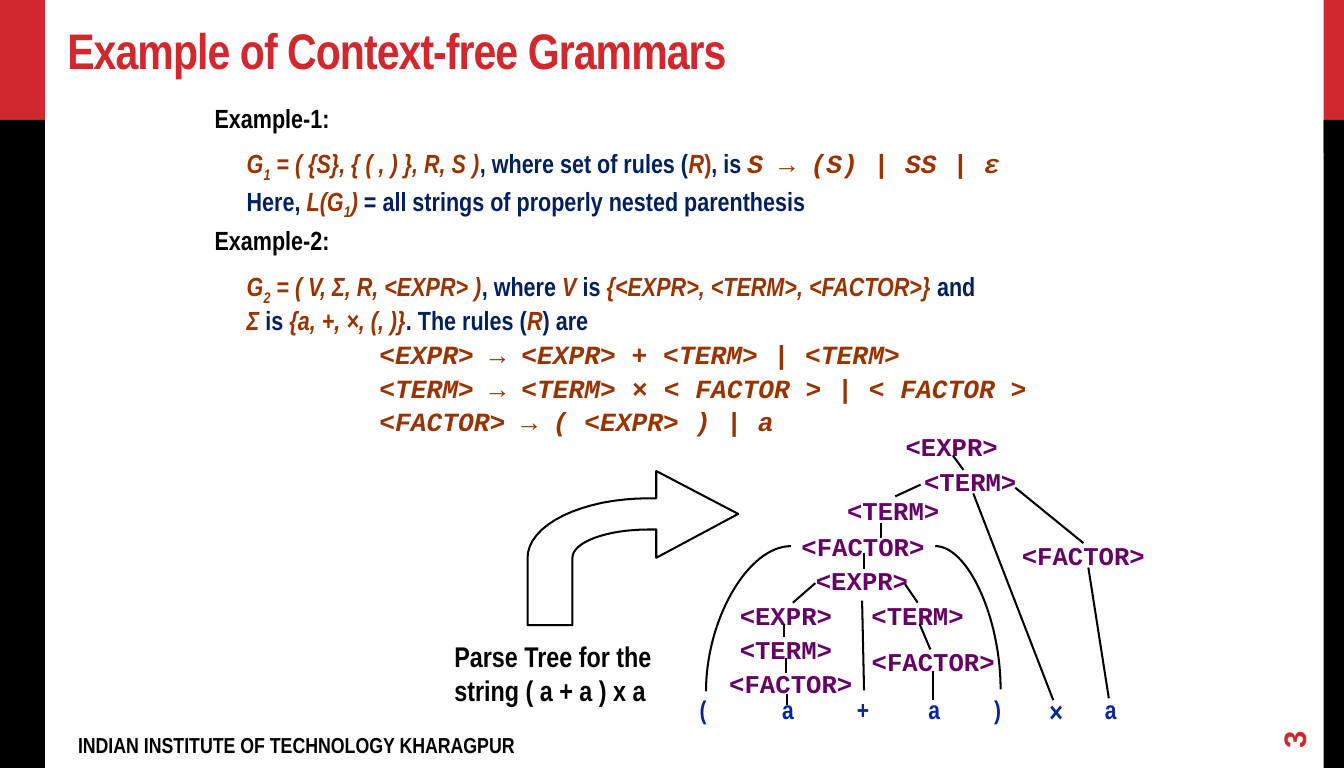
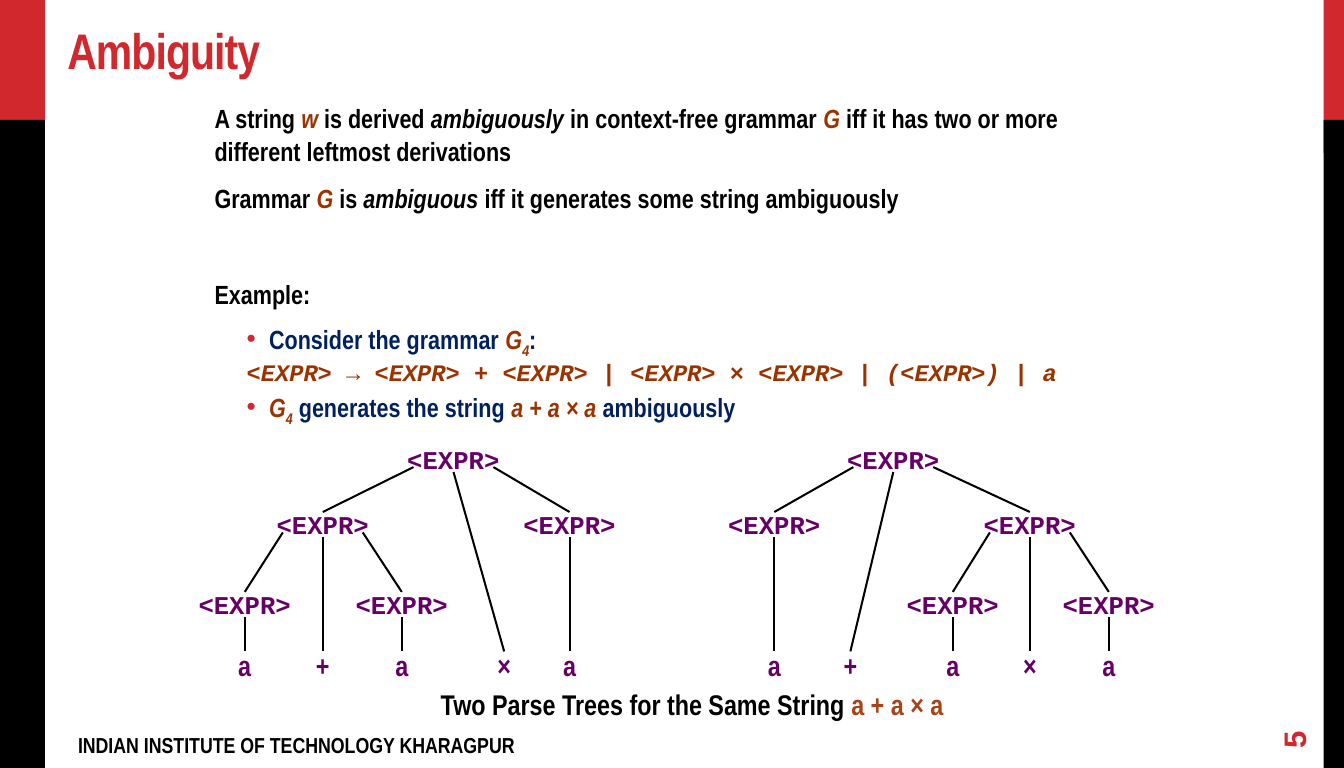
import math

from lxml import etree
from pptx import Presentation
from pptx.dml.color import RGBColor
from pptx.enum.shapes import MSO_CONNECTOR, MSO_SHAPE
from pptx.enum.text import MSO_ANCHOR, PP_ALIGN
from pptx.oxml.ns import qn
from pptx.util import Inches, Pt

RECTANGLE = MSO_SHAPE.RECTANGLE
STRAIGHT, CURVE = MSO_CONNECTOR.STRAIGHT, MSO_CONNECTOR.CURVE
LEFT, CENTER = PP_ALIGN.LEFT, PP_ALIGN.CENTER
TOP, MIDDLE, BOTTOM = MSO_ANCHOR.TOP, MSO_ANCHOR.MIDDLE, MSO_ANCHOR.BOTTOM

HEIGHT = 567 / 72
WIDTH = HEIGHT * 7 / 4
RED, BLACK, NAVY, BROWN, PURPLE = "D1282E", "000000", "002060", "993300", "660066"
NARROW, MONO = "Arial Narrow", "Courier New"

# Run styles: font, size, colour, italic, further run attributes
STYLES = {
    "title": (NARROW, 36.9, RED, False, {"spc": "-70"}),
    "footer": (NARROW, 16, BLACK, False, {}),
    "number": ("Arial", 23, RED, False, {}),
    "caption": (NARROW, 21, BLACK, False, {}),
    "caption string": (NARROW, 21, "A6431A", False, {}),
    "text": (NARROW, 19.4, BLACK, False, {}),
    "term": (NARROW, 19.4, BLACK, True, {}),
    "navy": (NARROW, 19.4, NAVY, False, {}),
    "math": (NARROW, 19.4, BROWN, True, {}),
    "upright": (NARROW, 19.4, BROWN, False, {}),
    "sub": (NARROW, 19.4, BROWN, True, {"baseline": "-25000"}),
    "rule": (MONO, 19.4, BROWN, True, {}),
    "rule upright": (MONO, 19.4, BROWN, False, {}),
    "small rule": (MONO, 17.5, BROWN, True, {}),
    "node": (MONO, 18.9, PURPLE, False, {}),
    "leaf": (NARROW, 21, PURPLE, False, {}),
    "token": (NARROW, 18.9, "00279F", False, {}),
    "big token": (NARROW, 21, "00279F", False, {}),
}

# Paragraph kinds: left margin, first-line indent, line spacing, points after
KINDS = {
    "head": (0, 0, 1.05, 6.8),
    "head with gap": (0, 0, 1.05, 42),
    "item": (0.33, 0, 0.9, 0),
    "bullet": (0.56, -0.23, 0.9, 0),
    "production": (1.69, 0, 0.9, 0),
}


def write(shape, lines, align=LEFT, anchor=TOP):
    """Fill a shape with lines, each a list of (style, text) runs."""
    frame = shape.text_frame
    frame.word_wrap = True
    frame.vertical_anchor = anchor
    frame.margin_left = frame.margin_right = Inches(0.11)
    frame.margin_top = frame.margin_bottom = Inches(0.06)
    for index, runs in enumerate(lines):
        para = frame.add_paragraph() if index else frame.paragraphs[0]
        para.alignment = align
        for style, text in runs:
            font, size, colour, italic, extra = STYLES[style]
            span = para.add_run()
            span.text = text
            span.font.name, span.font.size = font, Pt(size)
            span.font.bold, span.font.italic = True, italic
            span.font.color.rgb = RGBColor.from_string(colour)
            for name, value in extra.items():
                span.font._element.set(name, value)
    return frame


def add_box(slide, left, top, width, height):
    return slide.shapes.add_textbox(Inches(left), Inches(top), Inches(width), Inches(height))


deck = Presentation()
deck.slide_width, deck.slide_height = Inches(WIDTH), Inches(HEIGHT)
layout = deck.slide_layouts[5]
for holder in list(layout.placeholders):
    if holder.placeholder_format.idx:
        holder.element.getparent().remove(holder.element)
layout_title = layout.placeholders[0]
layout_title.left, layout_title.top = Inches(0.58), Inches(0.18)
layout_title.width, layout_title.height = Inches(12.86), Inches(0.7)
grammar_slide, ambiguity_slide = [deck.slides.add_slide(layout) for _ in range(2)]

# Side bands and footer, moved to the layout
shared = []
for left, width in ((0, 0.46), (WIDTH - 0.21, 0.21)):
    for top, bottom, colour in ((0, 1.57, RED), (1.23, HEIGHT, BLACK)):
        band = grammar_slide.shapes.add_shape(
            RECTANGLE, Inches(left), Inches(top), Inches(width), Inches(bottom - top))
        band.shadow.inherit = False
        band.fill.solid()
        band.fill.fore_color.rgb = RGBColor.from_string(colour)
        band.line.fill.background()
        shared.append(band)
footer = add_box(grammar_slide, 0.69, 7.44, 8.38, 0.34)
write(footer, [[("footer", "INDIAN INSTITUTE OF TECHNOLOGY KHARAGPUR")]])
for shape in shared + [footer]:
    layout.shapes.element.append(shape.element)

# Titles, numbers and body text
grammar_body = [
    ("head", [("text", "Example-1:")]),
    ("item", [("math", "G"), ("sub", "1"), ("math", " = ( {S}, { ( , ) }, R, S )"),
              ("navy", ", where set of rules ("), ("math", "R"), ("upright", ")"),
              ("navy", ", is "), ("rule", "S → (S) | SS | ε")]),
    ("item", [("navy", "Here, "), ("math", "L(G"), ("sub", "1"), ("math", ")"),
              ("navy", " = all strings of properly nested parenthesis")]),
    ("head", [("text", "Example-2:")]),
    ("item", [("math", "G"), ("sub", "2"), ("math", " = ( V, Σ, R, <EXPR> )"),
              ("navy", ", where "), ("math", "V"), ("navy", " is "),
              ("math", "{<EXPR>, <TERM>, <FACTOR>}"), ("navy", " and")]),
    ("item", [("math", "Σ"), ("navy", " is "), ("math", "{a, +, ×, (, )}"),
              ("navy", ". The rules ("), ("math", "R"), ("navy", ") are")]),
    ("production", [("rule", "<EXPR> → <EXPR> + <TERM> | <TERM>")]),
    ("production", [("rule", "<TERM> → <TERM> "), ("rule upright", "×"),
                    ("rule", " < FACTOR > | < FACTOR >")]),
    ("production", [("rule", "<FACTOR> → ( <EXPR> ) | a")]),
]
ambiguity_body = [
    ("head", [("text", "A string "), ("math", "w"), ("text", " is derived "),
              ("term", "ambiguously"), ("text", " in context-free grammar "), ("math", "G "),
              ("text", "iff it has two or more different leftmost derivations")]),
    ("head with gap", [("text", "Grammar "), ("math", "G"), ("text", " is "),
                       ("term", "ambiguous "),
                       ("text", "iff it generates some string ambiguously")]),
    ("head", [("text", "Example:")]),
    ("bullet", [("navy", "Consider the grammar "), ("math", "G"), ("sub", "4"), ("navy", ":")]),
    ("item", [("small rule", "<EXPR> → <EXPR> + <EXPR> | <EXPR> × <EXPR> | (<EXPR>) | a")]),
    ("bullet", [("math", "G"), ("sub", "4"), ("navy", " generates the string "),
                ("math", "a + a × a"), ("navy", " ambiguously")]),
]
for slide, title, number, body in (
        (grammar_slide, "Example of Context-free Grammars", "3", grammar_body),
        (ambiguity_slide, "Ambiguity", "5", ambiguity_body)):
    write(slide.shapes.title, [[("title", title)]], anchor=BOTTOM)
    number_box = add_box(slide, 12.86, 7.21, 0.81, 0.34)
    number_box.rotation = 270
    write(number_box, [[("number", number)]], anchor=MIDDLE)
    frame = write(add_box(slide, 2.09, 0.97, 9.7, 3.6), [runs for _, runs in body])
    for para, (kind, _) in zip(frame.paragraphs, body):
        margin, indent, spacing, after = KINDS[kind]
        properties = para._p.get_or_add_pPr()
        properties.set("marL", str(Inches(margin)))
        properties.set("indent", str(Inches(indent)))
        before = etree.SubElement(properties, qn("a:spcBef"))
        etree.SubElement(before, qn("a:spcPct"), val="20000")
        para.line_spacing, para.space_after = spacing, Pt(after)
        if kind == "bullet":
            bullet_colour = etree.SubElement(properties, qn("a:buClr"))
            etree.SubElement(bullet_colour, qn("a:srgbClr"), val=RED)
            etree.SubElement(properties, qn("a:buFont"), typeface="Arial")
            etree.SubElement(properties, qn("a:buChar"), char="•")

write(add_box(grammar_slide, 4.55, 6.49, 2.3, 0.81),
      [[("caption", "Parse Tree for the string ( a + a ) x a")]])
write(add_box(ambiguity_slide, 4.41, 6.99, 5.6, 0.45),
      [[("caption", "Two Parse Trees for the Same String "), ("caption string", "a + a × a")]])

# Bent arrow: two quarter ellipses around one centre, joined by the arrowhead
bend_x, bend_y, steps, units = 6.65, 5.72, 16, 1000
outer, inner = [
    [(bend_x - rx * math.cos(step * math.pi / 2 / steps),
      bend_y - ry * math.sin(step * math.pi / 2 / steps)) for step in range(steps + 1)]
    for rx, ry in ((1.24, 0.61), (0.78, 0.29))]
head = [(6.73, 5.11), (6.73, 4.83), (7.57, 5.27), (6.73, 5.72), (6.73, 5.43)]
outline = [(x * units, y * units) for x, y in outer + head + inner[::-1] + [(5.87, 6.41)]]
builder = grammar_slide.shapes.build_freeform(5.41 * units, 6.41 * units, Inches(1) / units)
builder.add_line_segments(outline, close=True)
arrow = builder.convert_to_shape()
arrow.shadow.inherit = False
arrow.fill.background()
arrow.line.color.rgb = RGBColor.from_string(BLACK)
arrow.line.width = Pt(1.5)

# Tree labels: slide, style, text, centre, top
labels = [(grammar_slide, "node", text, x, y) for text, x, y in (
    ("<EXPR>", 9.76, 4.37), ("<TERM>", 9.95, 4.73), ("<FACTOR>", 11.11, 5.49),
    ("<TERM>", 9.16, 5.02), ("<FACTOR>", 8.85, 5.39), ("<EXPR>", 8.84, 5.74),
    ("<EXPR>", 8.06, 6.1), ("<TERM>", 9.41, 6.1), ("<TERM>", 8.06, 6.45),
    ("<FACTOR>", 8.11, 6.8), ("<FACTOR>", 9.57, 6.57))]
labels += [(grammar_slide, "big token" if text == "×" else "token", text, x, 7.07)
           for text, x in (("(", 7.21), ("a", 8.08), ("+", 8.85), ("a", 9.58),
                           (")", 10.23), ("×", 10.83), ("a", 11.39))]

# Tree edges: slide, connector kind, start, end
edges = [(grammar_slide, STRAIGHT, start, end) for start, end in (
    ((9.77, 4.67), (9.88, 4.82)), ((9.44, 4.97), (9.18, 5.09)), ((10.41, 5), (11.11, 5.57)),
    ((9.98, 5.06), (10.8, 7.18)), ((11.16, 5.82), (11.37, 7.16)), ((9.03, 5.36), (9.03, 5.52)),
    ((8.86, 5.67), (8.86, 5.83)), ((8.36, 5.98), (8.13, 6.18)), ((9.28, 5.99), (9.41, 6.18)),
    ((8.84, 6.16), (8.86, 7.08)), ((8.04, 6.4), (8.04, 6.53)), ((8.06, 6.75), (8.06, 6.9)),
    ((8.07, 7.12), (8.07, 7.23)), ((9.43, 6.4), (9.54, 6.66)), ((9.57, 6.88), (9.57, 7.18)))]
edges += [(grammar_slide, CURVE, (9.59, 5.6), (10.26, 7.07)),
          (grammar_slide, CURVE, (8.11, 5.6), (7.24, 7.09))]

# The two ambiguous trees: text, centre, level, index of the parent
EXPR = "<EXPR>"
level_tops = (4.5, 5.17, 5.99, 6.6)
left_tree = [
    (EXPR, 4.65, 0, None), (EXPR, 3.31, 1, 0), (EXPR, 5.84, 1, 0), (EXPR, 2.51, 2, 1),
    (EXPR, 4.12, 2, 1), ("a", 2.51, 3, 3), ("+", 3.31, 3, 1), ("a", 4.12, 3, 4),
    ("×", 5.17, 3, 0), ("a", 5.84, 3, 2)]
right_tree = [
    (EXPR, 9.16, 0, None), (EXPR, 7.94, 1, 0), (EXPR, 10.56, 1, 0), (EXPR, 9.77, 2, 2),
    (EXPR, 11.37, 2, 2), ("a", 7.94, 3, 1), ("+", 8.72, 3, 0), ("a", 9.77, 3, 3),
    ("×", 10.56, 3, 2), ("a", 11.37, 3, 4)]
for tree in (left_tree, right_tree):
    for text, x, level, parent in tree:
        top = level_tops[level]
        labels.append((ambiguity_slide, "node" if text == EXPR else "leaf", text, x, top))
        if parent is None:
            continue
        _, parent_x, parent_level, _ = tree[parent]
        if text == EXPR:
            shift, drop = math.copysign(0.41, x - parent_x), 0.29
        else:
            shift, drop = 0, 0.34
        start = (parent_x + shift, level_tops[parent_level] + drop)
        edges.append((ambiguity_slide, STRAIGHT, start, (x, top + 0.08)))

for slide, style, text, x, top in labels:
    write(add_box(slide, x - 0.8, top - 0.01, 1.6, 0.42), [[(style, text)]], align=CENTER)
for slide, kind, start, end in edges:
    edge = slide.shapes.add_connector(kind, *[Inches(value) for value in start + end])
    edge.line.color.rgb = RGBColor.from_string(BLACK)
    edge.line.width = Pt(1.5)
    properties = edge.element.spPr
    etree.SubElement(properties, qn("a:effectLst"))
    if kind == CURVE:
        properties.find(qn("a:prstGeom")).set("prst", "curvedConnector2")

deck.save("out.pptx")
